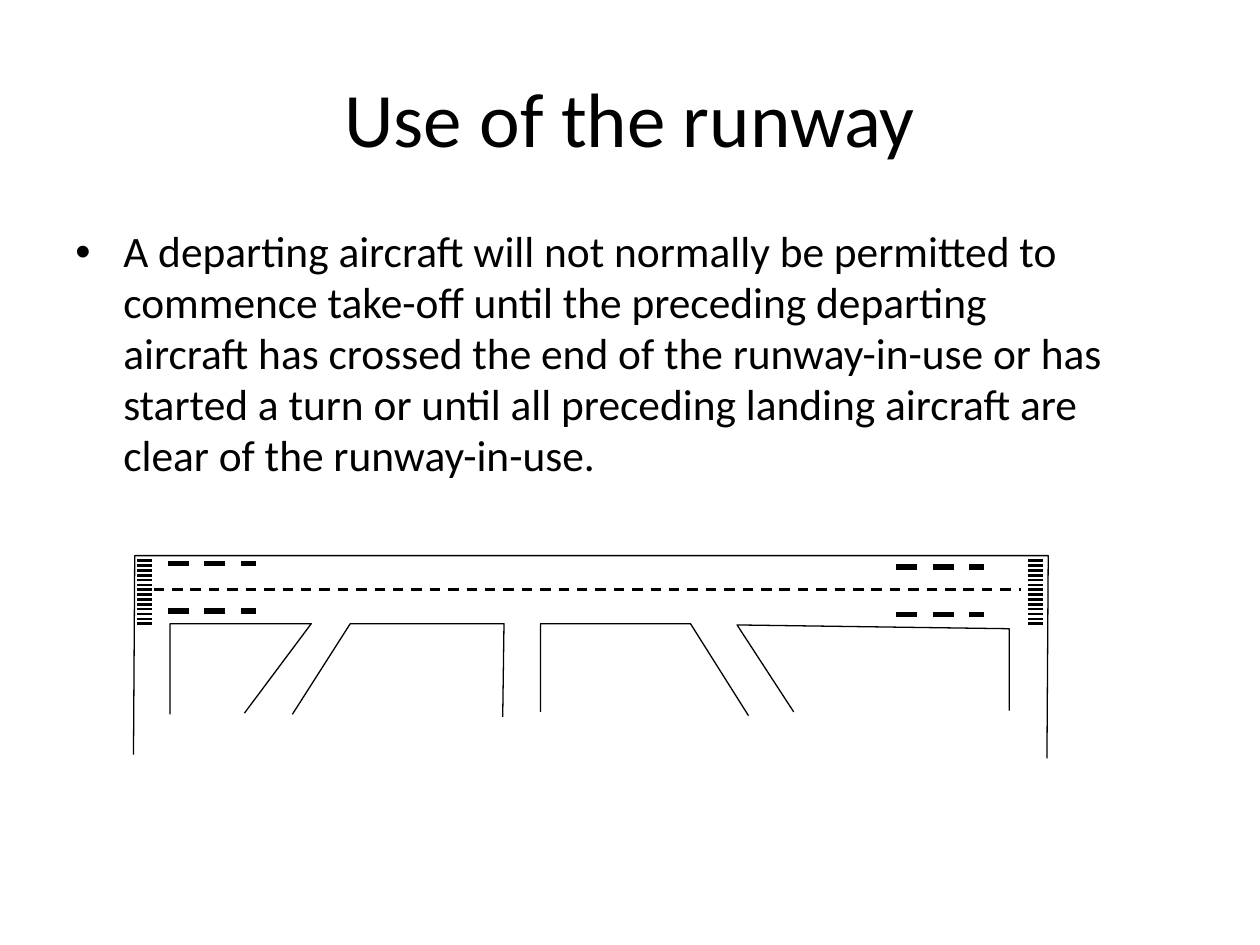
from lxml import etree
from pptx import Presentation
from pptx import util as u
from pptx.dml.color import RGBColor
from pptx.enum import dml, shapes, text
from pptx.oxml import ns

THEME = {
    "font": "Calibri", "ink": RGBColor(0, 0, 0),
    "title": 44, "body": 24.8,
    "outline": 0.75, "stripe": 1.5, "marking": 3,
}
TITLE = {
    "text": "Use of the runway", "box": (0.5, 0.3, 9, 1.25), "size": THEME["title"],
    "frame": {"vertical_anchor": text.MSO_ANCHOR.MIDDLE},
    "para": {"alignment": text.PP_ALIGN.CENTER},
}
RULE = {
    "text": "A departing aircraft will not normally be permitted to commence take-off "
            "until the preceding departing aircraft has crossed the end of the "
            "runway-in-use or has started a turn or until all preceding landing "
            "aircraft are clear of the runway-in-use.",
    "box": (0.5, 1.75, 8.41, 2), "size": THEME["body"], "bullet": "•", "indent": 0.38,
    "frame": {"vertical_anchor": text.MSO_ANCHOR.TOP},
    "para": {"alignment": text.PP_ALIGN.LEFT, "line_spacing": 0.98},
}
OUTLINES = [
    [(1.06, 5.99), (1.07, 4.41), (8.32, 4.41), (8.31, 6.02)],
    [(1.35, 5.67), (1.35, 4.95), (2.47, 4.95), (1.94, 5.66)],
    [(2.32, 5.67), (2.78, 4.95), (4, 4.95), (3.99, 5.69)],
    [(4.29, 5.65), (4.29, 4.95), (5.48, 4.95), (5.94, 5.68)],
    [(6.3, 5.65), (5.85, 4.96), (8.01, 4.99), (8.01, 5.64)],
]
CENTRE_LINE = (1.22, 8.1, 4.68)
THRESHOLDS = {"lefts": (1.09, 8.16), "width": 0.12, "top": 4.45, "bottom": 4.95, "count": 14}
TOUCHDOWN = {"starts": ((1.33, 4.47), (7.11, 4.5)), "length": 0.7, "gap": 0.38}


def apply(target, values):
    for name, value in values.items():
        setattr(target, name, value)


def add_text(s, item):
    sp = s.shapes.add_textbox(*map(u.Inches, item["box"]))
    tf = sp.text_frame
    apply(tf, {"word_wrap": True, **item["frame"]})
    p = tf.paragraphs[0]
    apply(p, item["para"])
    if "bullet" in item:
        pPr = p._p.get_or_add_pPr()
        indent = u.Inches(item["indent"])
        pPr.set("marL", str(indent))
        pPr.set("indent", str(-indent))
        etree.SubElement(pPr, ns.qn("a:buFont")).set("typeface", "Arial")
        etree.SubElement(pPr, ns.qn("a:buChar")).set("char", item["bullet"])
    r = p.add_run()
    r.text = item["text"]
    apply(r.font, {"name": THEME["font"], "size": u.Pt(item["size"])})
    r.font.color.rgb = THEME["ink"]


def add_line(parent, x1, x2, y, width, dashed=False):
    c = parent.shapes.add_connector(shapes.MSO_CONNECTOR.STRAIGHT,
                                    *map(u.Inches, (x1, y, x2, y)))
    c.line.color.rgb = THEME["ink"]
    c.line.width = u.Pt(width)
    if dashed:
        c.line.dash_style = dml.MSO_LINE.DASH
    etree.SubElement(c._element.spPr, ns.qn("a:effectLst"))


def add_outline(s, points):
    start, *rest = [tuple(map(u.Inches, point)) for point in points]
    builder = s.shapes.build_freeform(*start)
    builder.add_line_segments(rest, close=False)
    sp = builder.convert_to_shape()
    sp.shadow.inherit = False
    sp.fill.background()
    sp.line.color.rgb = THEME["ink"]
    sp.line.width = u.Pt(THEME["outline"])


def add_threshold(s, left):
    t = THRESHOLDS
    group = s.shapes.add_group_shape()
    pitch = (t["bottom"] - t["top"]) / (t["count"] - 1)
    for i in range(t["count"]):
        add_line(group, left, left + t["width"], t["top"] + i * pitch, THEME["stripe"])


def add_touchdown(s, left, top):
    group = s.shapes.add_group_shape()
    for y in (top, top + TOUCHDOWN["gap"]):
        add_line(group, left, left + TOUCHDOWN["length"], y, THEME["marking"], True)


def main():
    prs = Presentation()
    apply(prs, {"slide_width": u.Inches(10), "slide_height": u.Inches(7.5)})
    s = prs.slides.add_slide(prs.slide_layouts[6])
    for item in (TITLE, RULE):
        add_text(s, item)
    for points in OUTLINES:
        add_outline(s, points)
    add_line(s, *CENTRE_LINE, THEME["stripe"], True)
    for left in THRESHOLDS["lefts"]:
        add_threshold(s, left)
    for start in TOUCHDOWN["starts"]:
        add_touchdown(s, *start)
    prs.save("out.pptx")


if __name__ == "__main__":
    main()
